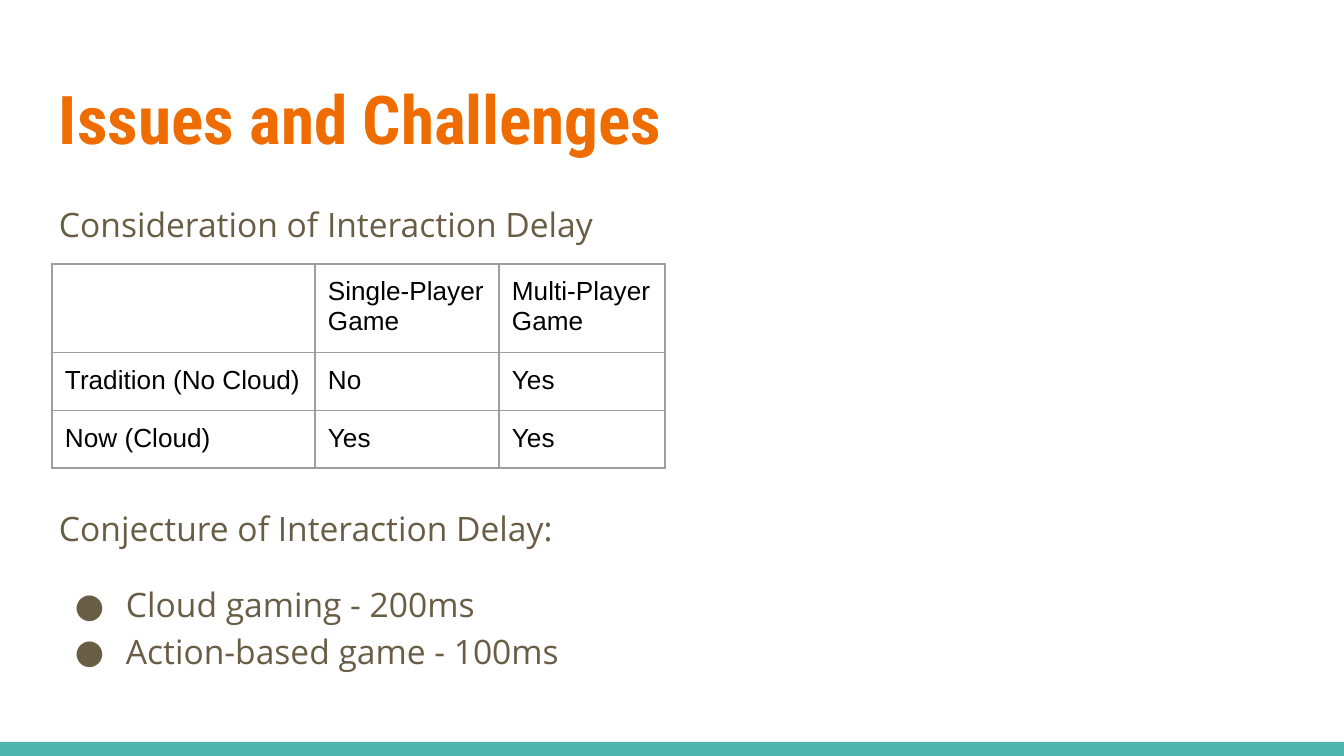
import itertools

import lxml.etree
import pptx
import pptx.dml.color
import pptx.enum.shapes
import pptx.enum.text
import pptx.oxml.ns
import pptx.util

PX = 914400 / 134.4
INSET = 13
COLORS = {
    "title": "EF6C00",
    "body": "695D46",
    "bar": "4DB6AC",
    "cell": "000000",
    "border": "9E9E9E",
}
FORMATS = {
    "title": {"name": "Roboto Condensed", "size": pptx.util.Pt(36), "bold": True},
    "body": {"name": "Open Sans", "size": pptx.util.Pt(18)},
    "cell": {"name": "Arial", "size": pptx.util.Pt(14)},
}
ROWS = [
    ["", "Single-Player Game", "Multi-Player Game"],
    ["Tradition (No Cloud)", "No", "Yes"],
    ["Now (Cloud)", "Yes", "Yes"],
]


def emu(px):
    return pptx.util.Emu(round(px * PX))


def rgb(name):
    return pptx.dml.color.RGBColor.from_string(COLORS[name])


def set_all(target, values):
    for name, value in values.items():
        setattr(target, name, value)


def add_element(parent, tag, **attributes):
    element = lxml.etree.SubElement(parent, pptx.oxml.ns.qn(tag))
    for name, value in attributes.items():
        element.set(name, str(value))
    return element


def add_color(parent, name):
    add_element(parent, "a:srgbClr", val=COLORS[name])


def set_margins(target):
    sides = ("left", "right", "top", "bottom")
    set_all(target, {f"margin_{side}": emu(INSET) for side in sides})


def write(para, text, style):
    span = para.add_run()
    span.text = text
    set_all(span.font, FORMATS[style])
    span.font.color.rgb = rgb(style)


def add_bullet(para):
    properties = para._p.get_or_add_pPr()
    properties.set("marL", str(emu(67)))
    properties.set("indent", str(emu(-51)))
    add_color(add_element(properties, "a:buClr"), "body")
    add_element(properties, "a:buFont", typeface=FORMATS["body"]["name"])
    add_element(properties, "a:buChar", char="●")


def add_bar(page):
    bar = page.shapes.add_shape(
        pptx.enum.shapes.MSO_SHAPE.RECTANGLE, emu(0), emu(742), emu(1344), emu(14))
    bar.shadow.inherit = False
    bar.fill.solid()
    bar.fill.fore_color.rgb = rgb("bar")
    bar.line.fill.background()


def fill_title(page, text):
    title = page.shapes.title
    set_all(title, {"left": emu(46), "top": emu(66), "width": emu(1252), "height": emu(103)})
    frame = title.text_frame
    set_margins(frame)
    set_all(frame, {
        "word_wrap": True,
        "auto_size": pptx.enum.text.MSO_AUTO_SIZE.NONE,
        "vertical_anchor": pptx.enum.text.MSO_ANCHOR.MIDDLE,
    })
    para = frame.paragraphs[0]
    para.alignment = pptx.enum.text.PP_ALIGN.LEFT
    write(para, text, "title")


def add_text(page, top, height, heading, bullets=()):
    box = page.shapes.add_textbox(emu(46), emu(top), emu(1252), emu(height))
    frame = box.text_frame
    frame.word_wrap = True
    set_margins(frame)
    para = frame.paragraphs[0]
    para.line_spacing = 1.15
    write(para, heading, "body")
    for index, text in enumerate(bullets):
        para = frame.add_paragraph()
        para.line_spacing = 1.15
        para.space_before = pptx.util.Pt(0 if index else 16)
        add_bullet(para)
        write(para, text, "body")


def add_borders(cell):
    properties = cell._tc.get_or_add_tcPr()
    for side in "LRTB":
        line = add_element(properties, f"a:ln{side}", w=pptx.util.Pt(0.75))
        add_color(add_element(line, "a:solidFill"), "border")


def add_grid(page, rows, widths, heights):
    table = page.shapes.add_table(
        len(rows), len(widths), emu(52), emu(264),
        emu(sum(widths)), emu(sum(heights))).table
    set_all(table, {"first_row": False, "horz_banding": False})
    for column, width in zip(table.columns, widths):
        column.width = emu(width)
    for row, height in zip(table.rows, heights):
        row.height = emu(height)
    for cell, text in zip(table.iter_cells(), itertools.chain.from_iterable(rows)):
        set_margins(cell)
        add_borders(cell)
        cell.fill.background()
        if text:
            write(cell.text_frame.paragraphs[0], text, "cell")


def main():
    deck = pptx.Presentation()
    set_all(deck, {"slide_width": emu(1344), "slide_height": emu(756)})
    page = deck.slides.add_slide(deck.slide_layouts[5])
    add_bar(page)
    fill_title(page, "Issues and Challenges")
    add_text(page, 185, 72, "Consideration of Interaction Delay")
    add_text(page, 489, 196, "Conjecture of Interaction Delay:",
             ["Cloud gaming - 200ms", "Action-based game - 100ms"])
    add_grid(page, ROWS, widths=[263, 184, 166], heights=[85, 58, 57])
    deck.save("out.pptx")


if __name__ == "__main__":
    main()
